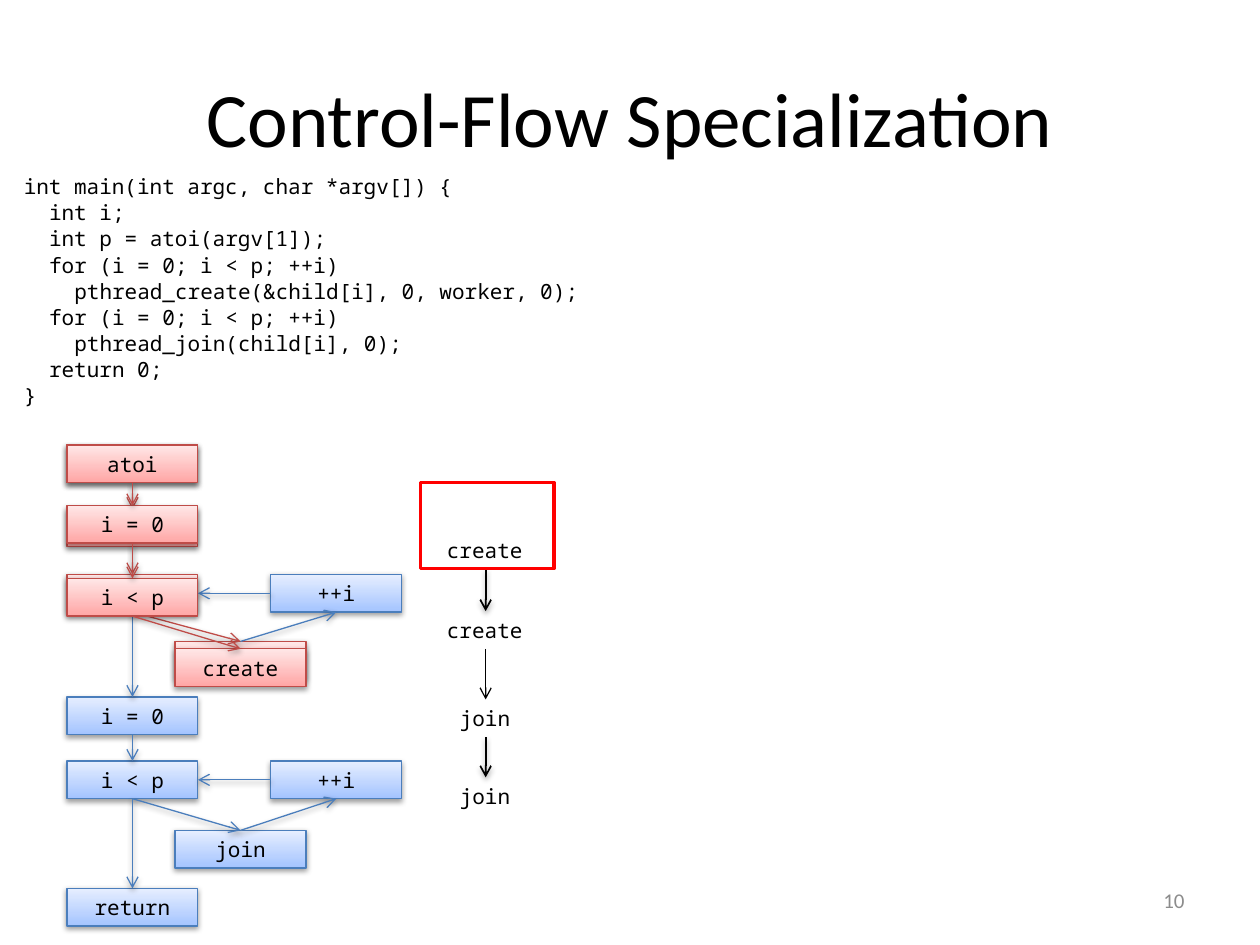
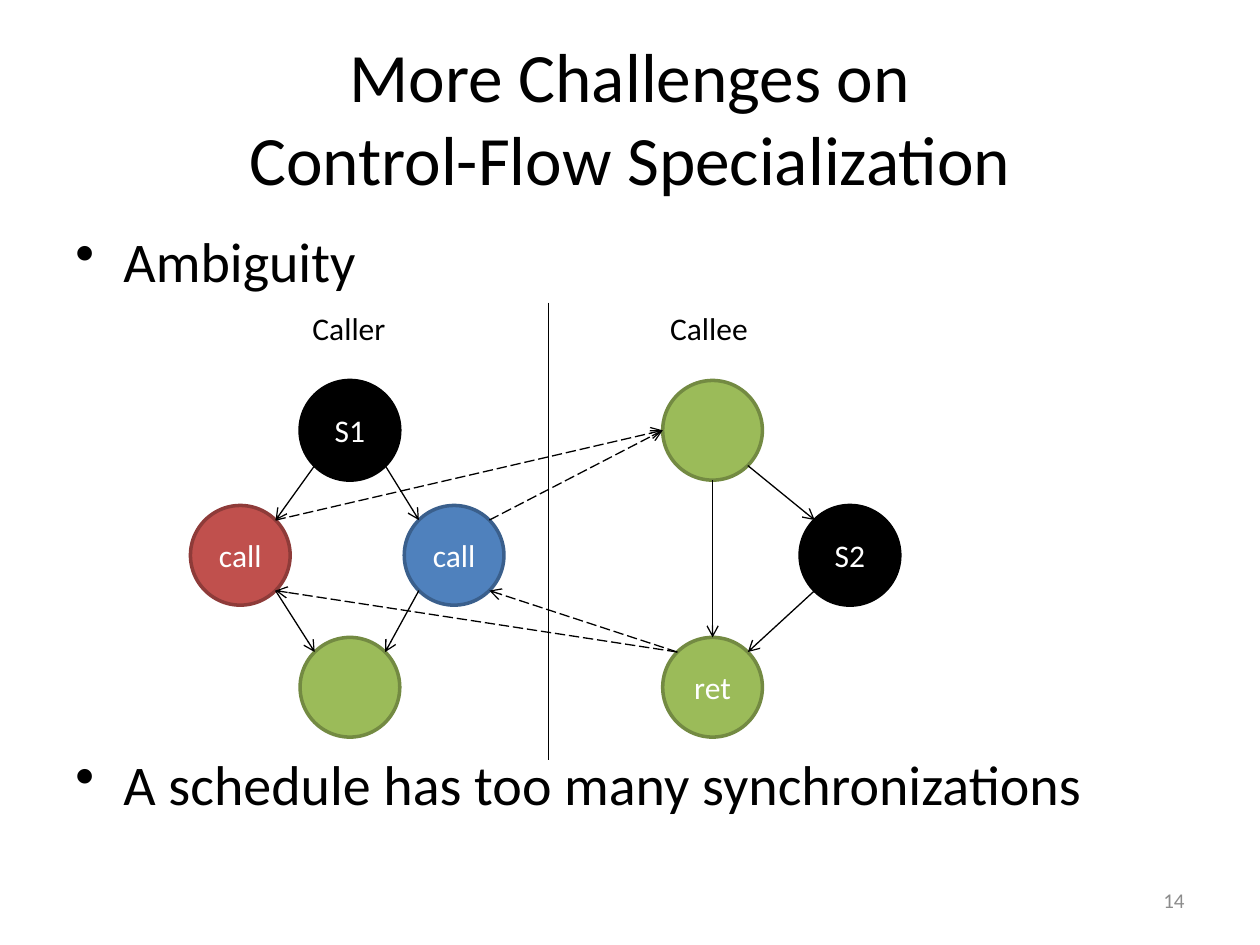
"""Builds two slides on control-flow specialization."""
import math

import lxml.etree
import pptx
import pptx.dml.color
import pptx.enum.dml
import pptx.enum.shapes
import pptx.enum.text
import pptx.oxml.ns
import pptx.util

Cm, Pt = pptx.util.Cm, pptx.util.Pt
ALIGN = pptx.enum.text.PP_ALIGN
ANCHOR = pptx.enum.text.MSO_ANCHOR
SHAPE = pptx.enum.shapes.MSO_SHAPE
COLORS = {
    "black": "000000", "white": "FFFFFF", "gray": "8C8C8C", "frame": "FF0000",
    "taken": "BF4C48", "taken_low": "FFA6A5", "taken_high": "FFE7E7",
    "idle": "4B7EBC", "idle_low": "A4C4FF", "idle_high": "E6EEFF",
    "red": "C0504D", "red_edge": "8E3B39", "blue": "4F81BD", "blue_edge": "3A5F8C",
    "green": "9BBB59", "green_edge": "738A42", "black_edge": "000000",
}
SANS, MONO = "Calibri", "Noto Sans Mono"
BOX_W, BOX_H, CIRCLE = 2.64, 0.76, 2.01
TOP, LEFT, BOTTOM, RIGHT = range(4)
MAIN, BRANCH, STEP = 1.35, 3.53, 5.46
DIAGONAL = math.sqrt(0.5)
PORTS = {
    "n": (0, -1), "s": (0, 1), "w": (-1, 0),
    "nw": (-DIAGONAL, -DIAGONAL), "ne": (DIAGONAL, -DIAGONAL),
    "sw": (-DIAGONAL, DIAGONAL), "se": (DIAGONAL, DIAGONAL),
}
CODE = [
    (0, "int main(int argc, char *argv[]) {"),
    (1, "int i;"),
    (1, "int p = atoi(argv[1]);"),
    (1, "for (i = 0; i < p; ++i)"),
    (2, "pthread_create(&child[i], 0, worker, 0);"),
    (1, "for (i = 0; i < p; ++i)"),
    (2, "pthread_join(child[i], 0);"),
    (1, "return 0;"),
    (0, "}"),
]


def rgb(name):
    """Return the named colour."""
    return pptx.dml.color.RGBColor.from_string(COLORS[name])


def add_xml(parent, tag, **attributes):
    """Append a child element to parent and return it."""
    return lxml.etree.SubElement(parent, pptx.oxml.ns.qn(tag), attributes)


def add_shadow(effects):
    """Put a soft shadow straight below into an effect list."""
    shadow = add_xml(effects, "a:outerShdw", blurRad="40000", dist="20000",
                     dir="5400000", rotWithShape="0")
    color = add_xml(shadow, "a:srgbClr", val=COLORS["black"])
    add_xml(color, "a:alpha", val="38000")


def write_text(shape, *lines, size=18, font=SANS, color="black", align=ALIGN.LEFT,
               anchor=ANCHOR.TOP, wrap=True, before=0, margins=(), bullet=None):
    """Write one paragraph per line into shape."""
    frame = shape.text_frame
    frame.word_wrap = wrap
    frame.vertical_anchor = anchor
    for number, line in enumerate(lines):
        paragraph = frame.paragraphs[0] if number == 0 else frame.add_paragraph()
        paragraph.text = line
        paragraph.alignment = align
        paragraph.space_before = Pt(before)
        properties = paragraph._p.get_or_add_pPr()
        if margins:
            properties.set("marL", str(Cm(margins[number])))
        if bullet:
            properties.set("indent", str(-Cm(margins[number])))
            add_xml(properties, "a:buChar", char=bullet)
        for run in paragraph.runs:
            run.font.size = Pt(size)
            run.font.name = font
            run.font.color.rgb = rgb(color)


def add_text(slide, left, top, width, height, *lines, **form):
    """Add a text box with the given lines."""
    box = slide.shapes.add_textbox(Cm(left), Cm(top), Cm(width), Cm(height))
    write_text(box, *lines, **form)
    return box


def add_label(slide, left, top, width, height, text, **form):
    """Add a short label whose box hugs its text."""
    label = add_text(slide, left, top, width, height, text, wrap=False, **form)
    label.text_frame.auto_size = pptx.enum.text.MSO_AUTO_SIZE.SHAPE_TO_FIT_TEXT
    return label


def add_bullet(slide, top, text):
    """Add a full-width bullet point."""
    add_text(slide, 1.27, top, 22.86, 1.65, text, size=32, before=6.4,
             margins=[0.97], bullet="•")


def add_shape(slide, kind, left, top, width, height, edge, weight):
    """Add an unfilled, unshadowed preset shape."""
    shape = slide.shapes.add_shape(kind, Cm(left), Cm(top), Cm(width), Cm(height))
    shape.shadow.inherit = False
    shape.fill.background()
    shape.line.color.rgb = rgb(edge)
    shape.line.width = Pt(weight)
    return shape


def add_step(slide, left, top, text, state="idle"):
    """Add a shaded flow-graph box, either taken or idle."""
    step = add_shape(slide, SHAPE.RECTANGLE, left, top, BOX_W, BOX_H, state, 0.75)
    step.fill.gradient()
    step.fill.gradient_angle = 90
    for stop, shade in zip(step.fill.gradient_stops, ("low", "high")):
        stop.color.rgb = rgb(f"{state}_{shade}")
    add_shadow(step._element.spPr.find(pptx.oxml.ns.qn("a:effectLst")))
    write_text(step, text, size=12, font=MONO, align=ALIGN.CENTER, anchor=ANCHOR.MIDDLE)
    return step


def add_circle(slide, left, top, fill, text=""):
    """Add a round graph node."""
    circle = add_shape(slide, SHAPE.OVAL, left, top, CIRCLE, CIRCLE, f"{fill}_edge", 2)
    circle.fill.solid()
    circle.fill.fore_color.rgb = rgb(fill)
    if text:
        write_text(circle, text, color="white", align=ALIGN.CENTER, anchor=ANCHOR.MIDDLE)
    return circle


def add_line(slide, start=(0, 0), end=(0, 0), color="black", weight=0.75,
             dashed=False, arrow=True, shadow=False):
    """Add a straight line between two points given as lengths."""
    line = slide.shapes.add_connector(
        pptx.enum.shapes.MSO_CONNECTOR.STRAIGHT, *start, *end)
    line.line.color.rgb = rgb(color)
    line.line.width = Pt(weight)
    if dashed:
        line.line.dash_style = pptx.enum.dml.MSO_LINE.LONG_DASH
    if arrow:
        add_xml(line.line._get_or_add_ln(), "a:tailEnd", type="arrow")
    effects = add_xml(line._element.spPr, "a:effectLst")
    if shadow:
        add_shadow(effects)
    return line


def join_boxes(slide, source, source_side, target, target_side, **form):
    """Join the side middles of two boxes with an arrow."""
    arrow = add_line(slide, **form)
    arrow.begin_connect(source, source_side)
    arrow.end_connect(target, target_side)


def port(circle, direction):
    """Return the point on a circle's rim in a compass direction."""
    radius = circle.width / 2
    dx, dy = PORTS[direction]
    return (round(circle.left + radius * (1 + dx)), round(circle.top + radius * (1 + dy)))


def start_slide(deck, title, number, title_size):
    """Add a blank slide with its title and number."""
    slide = deck.slides.add_slide(deck.slide_layouts[6])
    add_text(slide, 1.27, 0.76, 22.86, 3.18, title, size=title_size,
             align=ALIGN.CENTER, anchor=ANCHOR.MIDDLE)
    add_text(slide, 18.2, 17.65, 5.93, 1.01, number, size=12, color="gray",
             align=ALIGN.RIGHT, anchor=ANCHOR.MIDDLE)
    return slide


def draw_schedule(slide):
    """Draw the sequence of synchronizations."""
    calls = [
        add_label(slide, left, top, width, BOX_H, text, size=12, font=MONO)
        for left, top, width, text in (
            (8.76, 10.72, 2.06, "create"), (8.76, 12.32, 2.06, "create"),
            (9.02, 14.1, 1.54, "join"), (9.02, 15.67, 1.54, "join"))
    ]
    for index, (earlier, later) in enumerate(zip(calls, calls[1:])):
        strong = index != 1
        join_boxes(slide, earlier, BOTTOM, later, TOP,
                   weight=1 if strong else 0.75, shadow=strong)


def draw_taken_path(slide, tops):
    """Draw the taken steps from atoi to create and return them."""
    steps = [
        add_step(slide, left, top, text, "taken")
        for left, top, text in zip((MAIN, MAIN, MAIN, BRANCH), tops,
                                   ("atoi", "i = 0", "i < p", "create"))
    ]
    for earlier, later in zip(steps, steps[1:]):
        join_boxes(slide, earlier, BOTTOM, later, TOP, color="taken", shadow=True)
    return steps


def draw_flow_graph(slide):
    """Draw the control-flow graph of the program."""
    *_, create_test, create = draw_taken_path(slide, (8.97, 10.26, 11.58, 12.93))
    create_next = add_step(slide, STEP, 11.58, "++i")
    join_init = add_step(slide, MAIN, 14.05, "i = 0")
    join_test = add_step(slide, MAIN, 15.34, "i < p")
    join_next = add_step(slide, STEP, 15.34, "++i")
    join = add_step(slide, BRANCH, 16.74, "join")
    finish = add_step(slide, MAIN, 17.91, "return")
    for source, source_side, target, target_side in (
            (create, TOP, create_next, BOTTOM),
            (create_next, LEFT, create_test, RIGHT),
            (create_test, BOTTOM, join_init, TOP),
            (join_init, BOTTOM, join_test, TOP),
            (join_test, BOTTOM, join, TOP),
            (join, TOP, join_next, BOTTOM),
            (join_next, LEFT, join_test, RIGHT),
            (join_test, BOTTOM, finish, TOP)):
        join_boxes(slide, source, source_side, target, target_side,
                   color="idle", shadow=True)


def draw_call_graph(slide):
    """Draw the caller and callee graphs and the calls between them."""
    add_label(slide, 6.05, 6.1, 2.01, 1.02, "Caller")
    add_label(slide, 13.26, 6.1, 2.08, 1.02, "Callee")
    first_call = add_circle(slide, 3.84, 10.19, "red", "call")
    second_call = add_circle(slide, 8.15, 10.19, "blue", "call")
    first_sync = add_circle(slide, 6.05, 7.67, "black", "S1")
    merge = add_circle(slide, 6.05, 12.85, "green")
    entry = add_circle(slide, 13.36, 7.67, "green")
    leave = add_circle(slide, 13.36, 12.85, "green", "ret")
    second_sync = add_circle(slide, 16.13, 10.19, "black", "S2")
    for source, source_port, target, target_port, dashed in (
            (first_sync, "sw", first_call, "ne", False),
            (first_call, "se", merge, "nw", False),
            (first_sync, "se", second_call, "nw", False),
            (second_call, "sw", merge, "ne", False),
            (first_call, "ne", entry, "w", True),
            (leave, "nw", first_call, "se", True),
            (entry, "se", second_sync, "nw", False),
            (second_sync, "sw", leave, "ne", False),
            (entry, "s", leave, "n", False),
            (second_call, "ne", entry, "w", True),
            (leave, "nw", second_call, "se", True)):
        add_line(slide, port(source, source_port), port(target, target_port),
                 dashed=dashed)
    add_line(slide, (Cm(11.05), Cm(6.1)), (Cm(11.05), Cm(15.32)), arrow=False)


def build_specialization(deck):
    """Build the slide with code, flow graph and schedule."""
    slide = start_slide(deck, "Control-Flow Specialization", "10", 44)
    add_text(slide, 0, 3.38, 12.47, 5.84, *(line for _, line in CODE), size=12,
             font=MONO, before=0.5, margins=[0.23 + 0.51 * level for level, _ in CODE])
    draw_schedule(slide)
    draw_flow_graph(slide)
    add_shape(slide, SHAPE.RECTANGLE, 8.48, 9.73, 2.69, 1.73, "frame", 2)
    draw_taken_path(slide, (8.97, 10.19, 11.66, 13.08))


def build_challenges(deck):
    """Build the slide on ambiguity and synchronizations."""
    slide = start_slide(deck, "More Challenges on\vControl-Flow Specialization", "14", 39.6)
    add_bullet(slide, 4.45, "Ambiguity")
    add_bullet(slide, 14.99, "A schedule has too many synchronizations")
    draw_call_graph(slide)


def main():
    """Build and save the deck."""
    deck = pptx.Presentation()
    deck.slide_width, deck.slide_height = Cm(25.4), Cm(19.05)
    build_specialization(deck)
    build_challenges(deck)
    deck.save("out.pptx")


if __name__ == "__main__":
    main()
